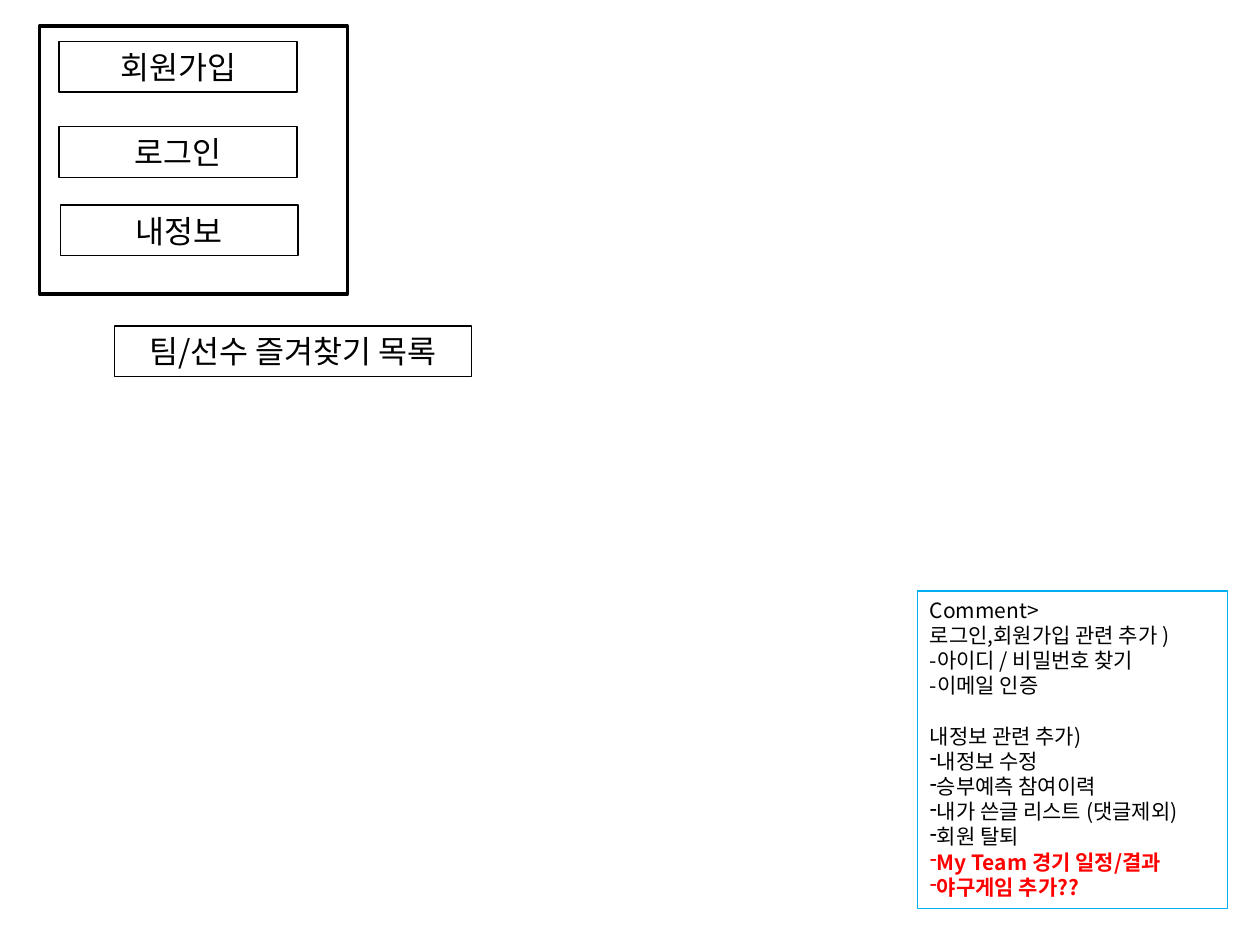
from lxml import etree
from pptx import Presentation
from pptx import util as u
from pptx.dml.color import RGBColor
from pptx.enum import shapes, text
from pptx.oxml.ns import qn

FONT = "Noto Sans CJK KR"
BLACK, RED, BLUE = "000000", "FF0000", "00B0F0"
COMMENT_LINE = 14.4


def color(value):
    return RGBColor.from_string(value)


class Wireframe:
    """Holds the style and the slide being drawn."""

    def __init__(self, slide):
        self.slide = slide

    def box(self, parent, left, top, width, height, line=BLACK, weight=0.75):
        shape = parent.add_shape(shapes.MSO_SHAPE.RECTANGLE,
                                 *map(u.Pt, (left, top, width, height)))
        shape.shadow.inherit = False
        shape.fill.background()
        shape.line.color.rgb = color(line)
        shape.line.width = u.Pt(weight)
        return shape

    def add_words(self, paragraph, words, size, ink=BLACK, bold=False):
        run = paragraph.add_run()
        run.text = words
        values = {"name": FONT, "size": u.Pt(size), "bold": bold}
        for name, value in values.items():
            setattr(run.font, name, value)
        run.font.color.rgb = color(ink)
        properties = run._r.get_or_add_rPr()
        east_asian = etree.SubElement(properties, qn("a:ea"))
        east_asian.set("typeface", FONT)

    def button(self, parent, label, left, top, width=136):
        shape = self.box(parent, left, top, width, 29)
        frame = shape.text_frame
        frame.vertical_anchor = text.MSO_ANCHOR.MIDDLE
        paragraph = frame.paragraphs[0]
        paragraph.alignment = text.PP_ALIGN.CENTER
        paragraph.line_spacing = u.Pt(21.6)
        self.add_words(paragraph, label, 18)

    def comment(self, lines, left, top, width, height):
        """Each line is (words, bulleted, highlighted, gap before)."""
        frame = self.box(self.slide.shapes, left, top, width, height, BLUE).text_frame
        frame.word_wrap = False
        frame.vertical_anchor = text.MSO_ANCHOR.TOP
        for index, (words, bulleted, highlighted, gap) in enumerate(lines):
            paragraph = frame.add_paragraph() if index else frame.paragraphs[0]
            paragraph.alignment = text.PP_ALIGN.LEFT
            paragraph.line_spacing = u.Pt(COMMENT_LINE)
            if gap:
                paragraph.space_before = u.Pt(gap)
            if bulleted:
                bullet = etree.SubElement(paragraph._p.get_or_add_pPr(), qn("a:buChar"))
                bullet.set("char", "-")
            self.add_words(paragraph, words, 12, RED if highlighted else BLACK, highlighted)


def main():
    presentation = Presentation()
    presentation.slide_width, presentation.slide_height = u.Pt(720), u.Pt(540)
    slide = presentation.slides.add_slide(presentation.slide_layouts[6])
    wireframe = Wireframe(slide)

    menu = slide.shapes.add_group_shape().shapes
    for label, left, top in (("회원가입", 33.8, 23.6),
                             ("로그인", 33.8, 72.4),
                             ("내정보", 34.4, 117.2)):
        wireframe.button(menu, label, left, top)
    wireframe.box(menu, 22.5, 15, 176, 153, weight=2)
    wireframe.button(slide.shapes, "팀/선수 즐겨찾기 목록", 65.4, 186.2, 204)

    wireframe.comment([
        ("Comment>", False, False, 0),
        ("로그인,회원가입 관련 추가 )", False, False, 0),
        ("-아이디 / 비밀번호 찾기", False, False, 0),
        ("-이메일 인증", False, False, 0),
        ("내정보 관련 추가)", False, False, COMMENT_LINE),
        ("내정보 수정", True, False, 0),
        ("승부예측 참여이력", True, False, 0),
        ("내가 쓴글 리스트 (댓글제외)", True, False, 0),
        ("회원 탈퇴", True, False, 0),
        ("My Team 경기 일정/결과", True, True, 0),
        ("야구게임 추가??", True, True, 0),
    ], 524.3, 337.7, 177, 181.6)
    presentation.save("out.pptx")


if __name__ == "__main__":
    main()
